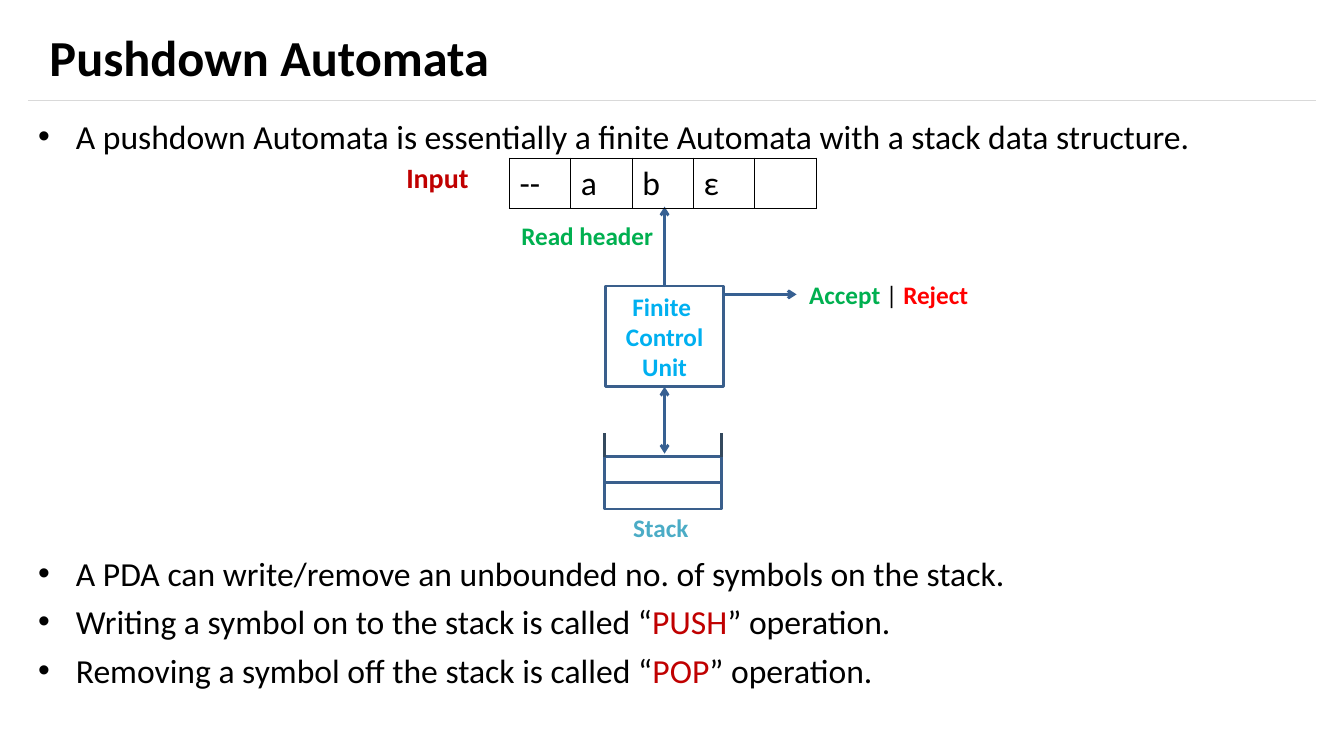
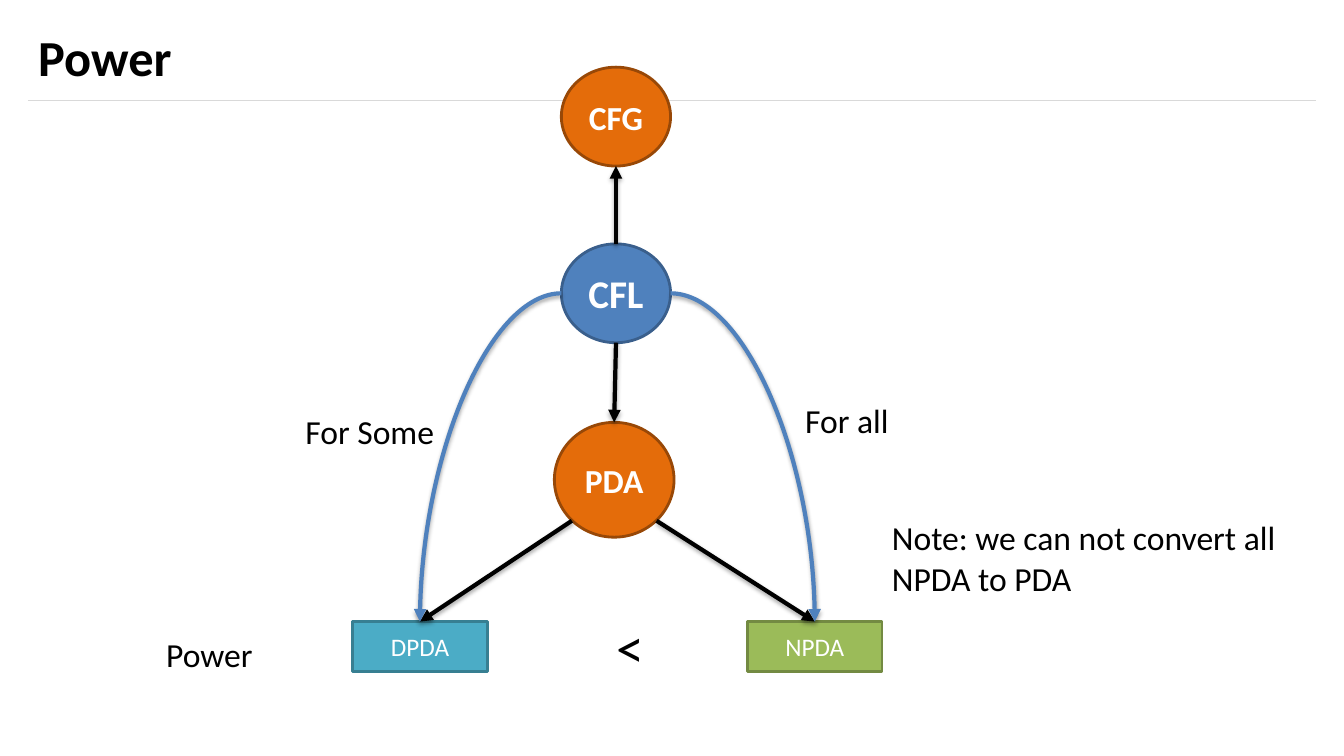
import lxml.etree
import pptx
import pptx.dml.color
import pptx.enum.shapes
import pptx.enum.text
import pptx.oxml.ns
import pptx.util

Pt = pptx.util.Pt
RGB = pptx.dml.color.RGBColor
SHAPE = pptx.enum.shapes.MSO_SHAPE
LINK = pptx.enum.shapes.MSO_CONNECTOR
ALIGN = pptx.enum.text.PP_ALIGN
ANCHOR = pptx.enum.text.MSO_ANCHOR
qn = pptx.oxml.ns.qn

BLACK = RGB(0x00, 0x00, 0x00)
WHITE = RGB(0xFF, 0xFF, 0xFF)
RULE = RGB(0xD9, 0xD9, 0xD9)
DARK_RED = RGB(0xC0, 0x00, 0x00)
RED = RGB(0xFF, 0x00, 0x00)
GREEN = RGB(0x00, 0xB0, 0x50)
SKY = RGB(0x00, 0xB0, 0xF0)
TEAL = RGB(0x4B, 0xAC, 0xC6)
TEAL_EDGE = RGB(0x37, 0x7F, 0x92)
BLUE = RGB(0x4F, 0x81, 0xBD)
BLUE_EDGE = RGB(0x3A, 0x5F, 0x8C)
ARROW_BLUE = RGB(0x37, 0x60, 0x92)
SLATE = RGB(0x34, 0x49, 0x5E)
ORANGE = RGB(0xE4, 0x6C, 0x0A)
ORANGE_EDGE = RGB(0x98, 0x48, 0x07)
OLIVE = RGB(0x9B, 0xBB, 0x59)
OLIVE_EDGE = RGB(0x73, 0x8A, 0x42)

A = "http://schemas.openxmlformats.org/drawingml/2006/main"
SHADOW = (
    f'<a:effectLst xmlns:a="{A}"><a:outerShdw blurRad="40000" dist="23000" '
    'dir="5400000" rotWithShape="0"><a:srgbClr val="000000">'
    '<a:alpha val="35000"/></a:srgbClr></a:outerShdw></a:effectLst>'
)
NO_EFFECT = f'<a:effectLst xmlns:a="{A}"/>'


def write(p, text, size=18, color=BLACK, bold=False, align=ALIGN.CENTER):
    p.alignment = align
    r = p.add_run()
    r.text = text
    r.font.name = "Calibri"
    r.font.size = Pt(size)
    r.font.bold = bold
    r.font.color.rgb = color
    return r


def connect(s, x1, y1, x2, y2, color, width=2, head=None, tail=None,
            shadow=False, kind=LINK.STRAIGHT):
    c = s.shapes.add_connector(kind, Pt(x1), Pt(y1), Pt(x2), Pt(y2))
    c.line.color.rgb = color
    c.line.width = Pt(width)
    spPr = c._element.spPr
    ln = spPr.find(qn("a:ln"))
    for tag, end in (("a:headEnd", head), ("a:tailEnd", tail)):
        if end:
            lxml.etree.SubElement(ln, qn(tag)).set("type", end)
    spPr.append(lxml.etree.fromstring(SHADOW if shadow else NO_EFFECT))
    return c


prs = pptx.Presentation()
prs.slide_width, prs.slide_height = Pt(960), Pt(540)

slides = []
for layout, title, number in ((1, " Pushdown Automata", "5"), (5, "Power", "10")):
    s = prs.slides.add_slide(prs.slide_layouts[layout])
    connect(s, 20, 72, 940, 72, RULE, 0.75)
    t = s.shapes.title
    t.left, t.top, t.width, t.height = Pt(20), Pt(8.5), Pt(920), Pt(63.5)
    tf = t.text_frame
    tf.auto_size = pptx.enum.text.MSO_AUTO_SIZE.NONE
    tf.vertical_anchor = ANCHOR.MIDDLE
    write(tf.paragraphs[0], title, size=36, bold=True, align=ALIGN.LEFT)
    tf = s.shapes.add_textbox(Pt(422), Pt(512.6), Pt(66), Pt(28.8)).text_frame
    tf.word_wrap = True
    tf.vertical_anchor = ANCHOR.MIDDLE
    r = write(tf.paragraphs[0], number, color=WHITE)
    fill = r._r.rPr.find(qn("a:solidFill"))
    fill.addnext(lxml.etree.fromstring(SHADOW))
    slides.append(s)

automata, power = slides

body = automata.placeholders[1]
body.left, body.top, body.width, body.height = Pt(20), Pt(78), Pt(920), Pt(437.5)
tf = body.text_frame
tf.auto_size = pptx.enum.text.MSO_AUTO_SIZE.NONE
bullets = [
    (4.8, ["A pushdown Automata is essentially a finite Automata with a stack data structure."]),
    (282, ["A PDA can write/remove an unbounded no. of symbols on the stack."]),
    (4.8, ["Writing a symbol on to the stack is called “", "PUSH", "” operation."]),
    (4.8, ["Removing a symbol off the stack is called “", "POP", "” operation."]),
]
for i, (gap, parts) in enumerate(bullets):
    p = tf.add_paragraph() if i else tf.paragraphs[0]
    p.space_before = Pt(gap)
    p.line_spacing = 1.04
    for j, text in enumerate(parts):
        write(p, text, size=24, color=DARK_RED if j == 1 else BLACK, align=ALIGN.JUSTIFY)

STACK_X, STACK_Y, STACK_W, CELL_H = 432, 326.2, 83.5, 18.7
for i in range(2):
    sp = automata.shapes.add_shape(
        SHAPE.RECTANGLE, Pt(STACK_X), Pt(STACK_Y + i * CELL_H), Pt(STACK_W), Pt(CELL_H))
    sp.shadow.inherit = False
    sp.fill.background()
    sp.line.color.rgb = BLUE_EDGE
    sp.line.width = Pt(2)
for x in (STACK_X, STACK_X + STACK_W):
    connect(automata, x, STACK_Y, x, 309, SLATE)

unit = automata.shapes.add_shape(SHAPE.RECTANGLE, Pt(432.7), Pt(204.3), Pt(84), Pt(72))
unit.shadow.inherit = False
unit.fill.background()
unit.line.color.rgb = BLUE_EDGE
unit.line.width = Pt(2)
tf = unit.text_frame
tf.vertical_anchor = ANCHOR.MIDDLE
for i, text in enumerate(("Finite ", "Control", "Unit")):
    p = tf.add_paragraph() if i else tf.paragraphs[0]
    write(p, text, color=SKY, bold=True)

c = connect(automata, 474.7, 204.3, 474.7, 147.6, ARROW_BLUE, tail="arrow")
c.begin_connect(unit, 0)
connect(automata, 516, 210.3, 569, 210.3, ARROW_BLUE, tail="arrow")
c = connect(automata, 474.7, 276.3, 474.7, 324, ARROW_BLUE, head="arrow", tail="arrow")
c.begin_connect(unit, 2)

labels = [
    (282, 113, 65, 28, [("Input", 20, DARK_RED, True), (" ", 18, BLACK, False)]),
    (569, 196, 131.5, 28, [("Accept", 18, GREEN, True), (" | ", 18, BLACK, False),
                           ("Reject", 18, RED, True)]),
    (441.5, 362.5, 65, 28, [("Stack ", 18, TEAL, True)]),
    (364, 158.5, 111, 19.5, [("Read header ", 18, GREEN, True)]),
]
for x, y, w, h, runs in labels:
    tf = automata.shapes.add_textbox(Pt(x), Pt(y), Pt(w), Pt(h)).text_frame
    tf.word_wrap = True
    tf.vertical_anchor = ANCHOR.MIDDLE
    for text, size, color, bold in runs:
        write(tf.paragraphs[0], text, size=size, color=color, bold=bold)

tape = automata.shapes.add_table(1, 5, Pt(364), Pt(113), Pt(219), Pt(36)).table
tape.first_row = False
tape.horz_banding = False
for cell, text in zip(tape.rows[0].cells, ("--", "a", "b", "ε", "")):
    cell.fill.background()
    if text:
        write(cell.text_frame.paragraphs[0], text, size=24, align=ALIGN.LEFT)
    tcPr = cell._tc.get_or_add_tcPr()
    for i, side in enumerate("LRTB"):
        tcPr.insert(i, lxml.etree.fromstring(
            f'<a:ln{side} xmlns:a="{A}" w="12700"><a:solidFill>'
            f'<a:srgbClr val="{BLACK}"/></a:solidFill></a:ln{side}>'))

nodes = {}
for text, kind, x, y, w, h, fill, edge, size, bold in (
    ("CFL", SHAPE.OVAL, 401, 174.2, 78, 70.6, BLUE, BLUE_EDGE, 28, True),
    ("CFG", SHAPE.OVAL, 401, 48, 78, 70.6, ORANGE, ORANGE_EDGE, 24, True),
    ("PDA", SHAPE.OVAL, 396, 301.7, 85.5, 82, ORANGE, ORANGE_EDGE, 24, True),
    ("NPDA", SHAPE.RECTANGLE, 534, 444, 96, 36, OLIVE, OLIVE_EDGE, 18, False),
    ("DPDA", SHAPE.RECTANGLE, 252, 444, 96, 36, TEAL, TEAL_EDGE, 18, False),
):
    sp = power.shapes.add_shape(kind, Pt(x), Pt(y), Pt(w), Pt(h))
    sp.shadow.inherit = False
    sp.fill.solid()
    sp.fill.fore_color.rgb = fill
    sp.line.color.rgb = edge
    sp.line.width = Pt(2)
    sp.text_frame.vertical_anchor = ANCHOR.MIDDLE
    write(sp.text_frame.paragraphs[0], text, size=size, color=WHITE, bold=bold)
    nodes[text] = sp

for x1, y1, x2, y2, target in (
    (440, 174.2, 440, 118.6, None),
    (440, 244.8, 438.7, 301.7, None),
    (408.5, 372, 300, 444, "DPDA"),
    (469, 372, 582, 444, "NPDA"),
):
    c = connect(power, x1, y1, x2, y2, BLACK, 3, tail="triangle", shadow=True)
    if target:
        c.end_connect(nodes[target], 0)

for x1, x2 in ((479, 582), (401, 300)):
    c = connect(power, x1, 209.5, x2, 444, BLUE, 3, tail="triangle",
                shadow=True, kind=LINK.CURVE)
    c._element.spPr.find(qn("a:prstGeom")).set("prst", "curvedConnector2")

for text, x, y, w, h, size, align in (
    ("For all", 568, 282.3, 80, 36, 24, ALIGN.LEFT),
    ("For Some", 211, 290.2, 115, 36, 24, ALIGN.LEFT),
    ("Power", 111.6, 449.3, 90, 36, 24, ALIGN.LEFT),
    ("<", 425, 434.2, 50, 55.4, 40, ALIGN.CENTER),
    ("Note: we can not convert all NPDA to PDA", 630, 365.8, 330, 65.5, 24, ALIGN.LEFT),
):
    tf = power.shapes.add_textbox(Pt(x), Pt(y), Pt(w), Pt(h)).text_frame
    tf.word_wrap = True
    write(tf.paragraphs[0], text, size=size, align=align)

prs.save("out.pptx")
